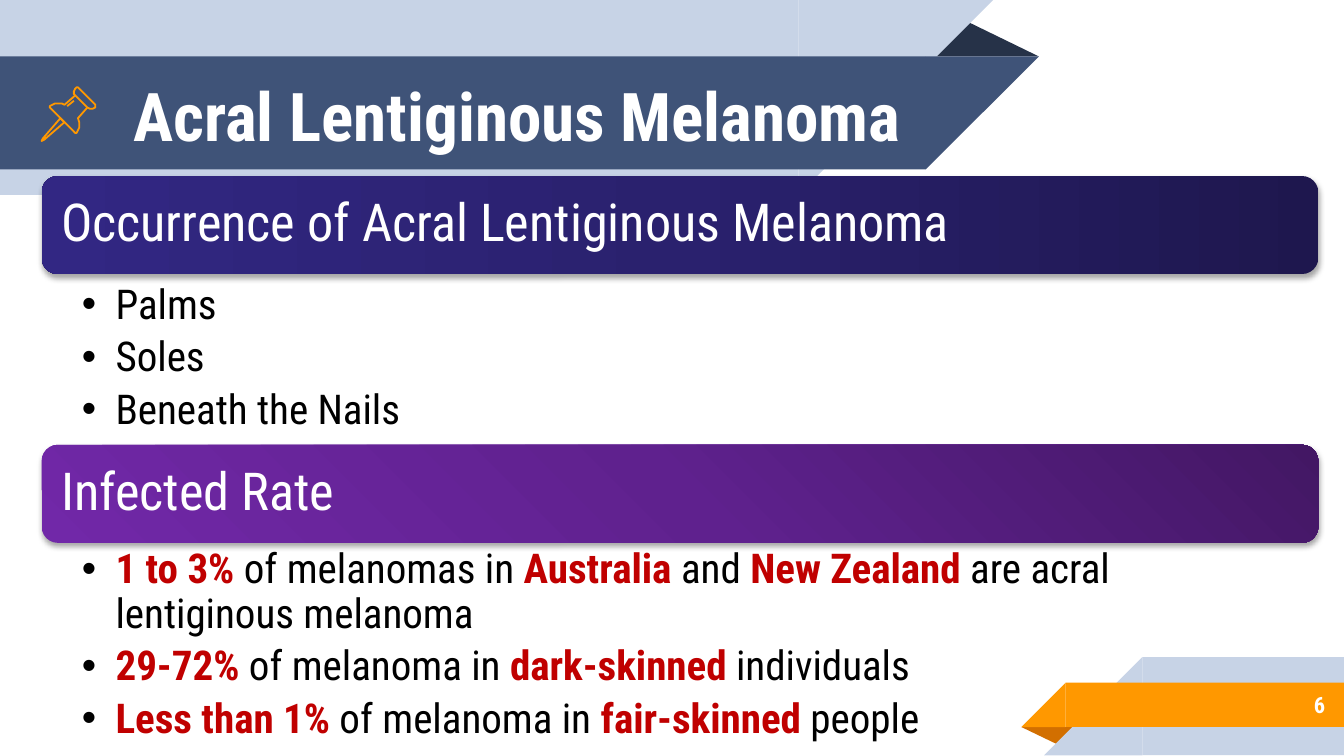
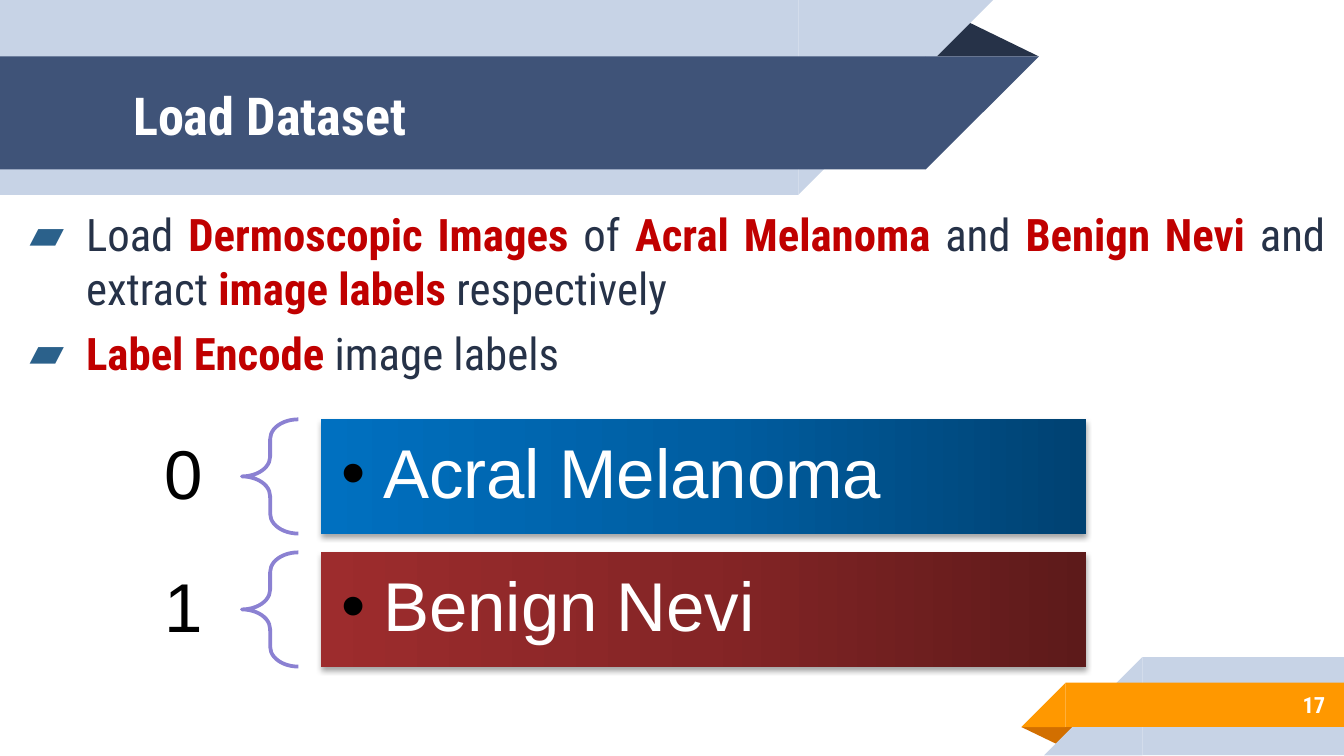
from lxml.etree import SubElement
from pptx import Presentation
from pptx.dml.color import RGBColor
from pptx.enum.shapes import MSO_SHAPE
from pptx.enum.text import MSO_ANCHOR, MSO_AUTO_SIZE, PP_ALIGN
from pptx.oxml import parse_xml
from pptx.oxml.ns import nsdecls, qn
from pptx.util import Inches, Pt

FONT = "Roboto Condensed"
WHITE, BLACK, RED = "FFFFFF", "000000", "C00000"
NAVY, SLATE, MIST, ORANGE, RUST = "263248", "3F5378", "C7D3E6", "FF9800", "D26F00"
rgb = RGBColor.from_string


def write(shape, *lines, size, color=WHITE, font=FONT, bold=False, align=PP_ALIGN.LEFT,
          anchor=MSO_ANCHOR.MIDDLE, insets=(0.1, 0.1, 0.1, 0.1), spacing=None,
          before=0, after=0, bullet=None, bullet_color=BLACK, hang=(0, 0)):
    frame = shape.text_frame
    frame.word_wrap = True
    frame.auto_size = MSO_AUTO_SIZE.NONE
    frame.vertical_anchor = anchor
    (frame.margin_left, frame.margin_top,
     frame.margin_right, frame.margin_bottom) = map(Inches, insets)
    for number, line in enumerate(lines):
        paragraph = frame.add_paragraph() if number else frame.paragraphs[0]
        if bullet:
            properties = paragraph._p.get_or_add_pPr()
            properties.set("marL", str(Inches(hang[0])))
            properties.set("indent", str(Inches(hang[1])))
            SubElement(SubElement(properties, qn("a:buClr")), qn("a:srgbClr"), val=bullet_color)
            SubElement(properties, qn("a:buFont"), typeface="Arial")
            SubElement(properties, qn("a:buChar"), char=bullet)
        paragraph.alignment = align
        paragraph.line_spacing = spacing
        paragraph.space_before = Pt(before if number else 0)
        paragraph.space_after = Pt(after)
        for part, words in enumerate(line.split("|")):
            if not words:
                continue
            run = paragraph.add_run()
            run.text = words
            run.font.name = font
            run.font.size = Pt(size)
            run.font.bold = bold or part % 2 == 1
            run.font.color.rgb = rgb(RED if part % 2 else color)


def add_bar(slide, kind, box, stops, direction):
    bar = slide.shapes.add_shape(kind, *map(Inches, box))
    bar.line.fill.background()
    colors = "".join(f'<a:gs pos="{pos}"><a:srgbClr val="{color}"/></a:gs>'
                     for pos, color in zip((0, 50000, 100000), stops))
    geometry = bar.element.spPr.find(qn("a:prstGeom"))
    geometry.addnext(parse_xml(
        f'<a:gradFill {nsdecls("a")} rotWithShape="1"><a:gsLst>{colors}</a:gsLst>'
        f'{direction}</a:gradFill>'))
    bar.element.spPr.append(parse_xml(
        f'<a:effectLst {nsdecls("a")}><a:outerShdw blurRad="{Pt(3.1)}" dist="{Pt(1.8)}" '
        'dir="5400000" rotWithShape="0"><a:srgbClr val="000000"><a:alpha val="35000"/>'
        '</a:srgbClr></a:outerShdw></a:effectLst>'))
    return bar


LINEAR = '<a:lin ang="10800000" scaled="0"/>'
RADIAL = '<a:path path="circle"><a:fillToRect l="100000" b="100000"/></a:path>'

deck = Presentation()
deck.slide_width = Inches(10)
deck.slide_height = deck.slide_width * 9 // 16
layout = deck.slide_layouts[3]
for placeholder in list(layout.placeholders):
    if placeholder.placeholder_format.idx >= 10:
        layout.shapes.element.remove(placeholder.element)

melanoma = deck.slides.add_slide(layout)
dataset = deck.slides.add_slide(layout)

RECT, CORNER, FOLD = MSO_SHAPE.RECTANGLE, MSO_SHAPE.RIGHT_TRIANGLE, MSO_SHAPE.ISOSCELES_TRIANGLE
bands = [
    (FOLD, (6.88, 0.14, 0.85, 0.28), NAVY, None),
    (RECT, (0, 0, 5.94, 1.45), MIST, None),
    (CORNER, (5.94, 0, 1.45, 1.45), MIST, "flipV"),
    (RECT, (0, 0.42, 6.89, 0.84), SLATE, None),
    (CORNER, (6.89, 0.42, 0.84, 0.84), SLATE, "flipV"),
    (FOLD, (7.6, 5.41, 0.43, 0.14), RUST, "turn"),
    (RECT, (8.5, 4.89, 1.5, 0.73), MIST, None),
    (CORNER, (7.77, 4.89, 0.73, 0.73), MIST, "flipH"),
    (RECT, (7.93, 5.08, 2.07, 0.33), ORANGE, None),
    (CORNER, (7.6, 5.08, 0.33, 0.33), ORANGE, "flipH"),
]
for kind, box, color, flip in bands:
    band = melanoma.shapes.add_shape(kind, *map(Inches, box))
    band.shadow.inherit = False
    band.fill.solid()
    band.fill.fore_color.rgb = rgb(color)
    band.line.fill.background()
    if kind == FOLD:
        band.adjustments[0] = 0.324
    if flip == "turn":
        band.rotation = 180
    elif flip:
        band.element.spPr.find(qn("a:xfrm")).set(flip, "1")
    layout.shapes.element.append(band.element)

for slide, heading, size, width, page in [
    (melanoma, "Acral Lentiginous Melanoma", 36, 7.75, "6"),
    (dataset, "Load Dataset", 28, 6.01, "17"),
]:
    title = slide.shapes.title
    title.left, title.top, title.width, title.height = map(Inches, (0.89, 0.43, width, 0.84))
    write(title, heading, size=size, bold=True)
    page_number = slide.shapes.add_textbox(*map(Inches, (8.33, 5.07, 1.63, 0.35)))
    write(page_number, page, size=12, bold=True, align=PP_ALIGN.RIGHT)

pin_outlines = [
    ([(45, 88), (32, 103), (31, 105), (33, 104), (48, 91)], True),
    ([(56, 71), (65, 80), (67, 81), (69, 81), (71, 80), (71, 78), (58, 65),
      (57, 65), (56, 66), (55, 68), (55, 70)], True),
    ([(56, 71), (48, 78), (46, 77), (44, 77), (41, 77), (39, 78), (37, 79), (37, 80),
      (38, 81), (55, 98), (56, 99), (57, 99), (58, 97), (59, 95), (59, 91),
      (58, 88), (65, 80)], False),
    ([(50, 79), (55, 75)], False),
]
for points, closed in pin_outlines:
    builder = melanoma.shapes.build_freeform(*points[0], scale=Inches(0.01))
    builder.add_line_segments(points[1:], close=closed)
    pin = builder.convert_to_shape()
    pin.shadow.inherit = False
    pin.fill.background()
    pin.line.color.rgb = rgb(ORANGE)
    pin.line.width = Pt(0.96)

sections = [
    (1, 1.31, "Occurrence of Acral Lentiginous Melanoma", ("1E174E", "2A216E", "322783"),
     LINEAR, 2.07, 1.24, ["Palms", "Soles", "Beneath the Nails"]),
    (2, 3.31, "Infected Rate", ("431764", "5F218E", "7128A8"), RADIAL, 4.04, 1.55,
     ["|1 to 3%| of melanomas in |Australia| and |New Zealand| are acral lentiginous melanoma",
      "|29-72%| of melanoma in |dark-skinned| individuals",
      "|Less than 1%| of melanoma in |fair-skinned| people"]),
]
for index, top, heading, stops, direction, list_top, list_height, facts in sections:
    bar = add_bar(melanoma, MSO_SHAPE.ROUNDED_RECTANGLE, (0.31, top, 9.5, 0.73), stops, direction)
    write(bar, heading, size=28, spacing=0.9, insets=(0.11, 0.12, 0.11, 0.12))
    details = melanoma.placeholders[index]
    details.left, details.top, details.width, details.height = map(
        Inches, (0.31, list_top, 9.5, list_height))
    write(details, *facts, size=22, color=BLACK, anchor=MSO_ANCHOR.TOP, spacing=0.9, after=4.4,
          insets=(0.3, 0.04, 0.22, 0.04), bullet="•", hang=(0.25, -0.25))

steps = dataset.placeholders[1]
steps.left, steps.top, steps.width, steps.height = map(Inches, (0.04, 1.34, 9.92, 2.11))
write(steps,
      "Load |Dermoscopic Images| of |Acral Melanoma| and |Benign Nevi| and extract "
      "|image labels| respectively",
      "|Label Encode| image labels",
      size=24, color=NAVY, align=PP_ALIGN.JUSTIFY, before=6, insets=(0.1, 0.1, 0.1, 0.53),
      bullet="▰", bullet_color="2B618B", hang=(0.5, -0.42))
unused = dataset.placeholders[2]
dataset.shapes.element.remove(unused.element)

classes = [
    ("Acral Melanoma", ("004272", "005EA2", "0070C0")),
    ("Benign Nevi", ("5D1A1A", "852526", "9D2C2D")),
]
for code, (name, stops) in enumerate(classes):
    top = 3.12 + code * 0.99
    code_label = dataset.shapes.add_textbox(*map(Inches, (0, top + 0.03, 1.8, 0.8)))
    write(code_label, str(code), size=37, color=BLACK, font="Arial", align=PP_ALIGN.RIGHT,
          spacing=0.9, insets=(0.29, 0.1, 0.29, 0.1))
    brace = dataset.shapes.add_shape(MSO_SHAPE.LEFT_BRACE, *map(Inches, (1.8, top, 0.42, 0.85)))
    brace.adjustments[0] = 0.35
    brace.shadow.inherit = False
    brace.fill.background()
    brace.line.color.rgb = rgb("8B81D2")
    brace.line.width = Pt(2)
    bar = add_bar(dataset, RECT, (2.39, top, 5.69, 0.85), stops, LINEAR)
    write(bar, name, size=37, font="Arial", spacing=0.9, insets=(0.15, 0.15, 0.15, 0.15),
          bullet="•", hang=(0.31, -0.31))

deck.save("out.pptx")
